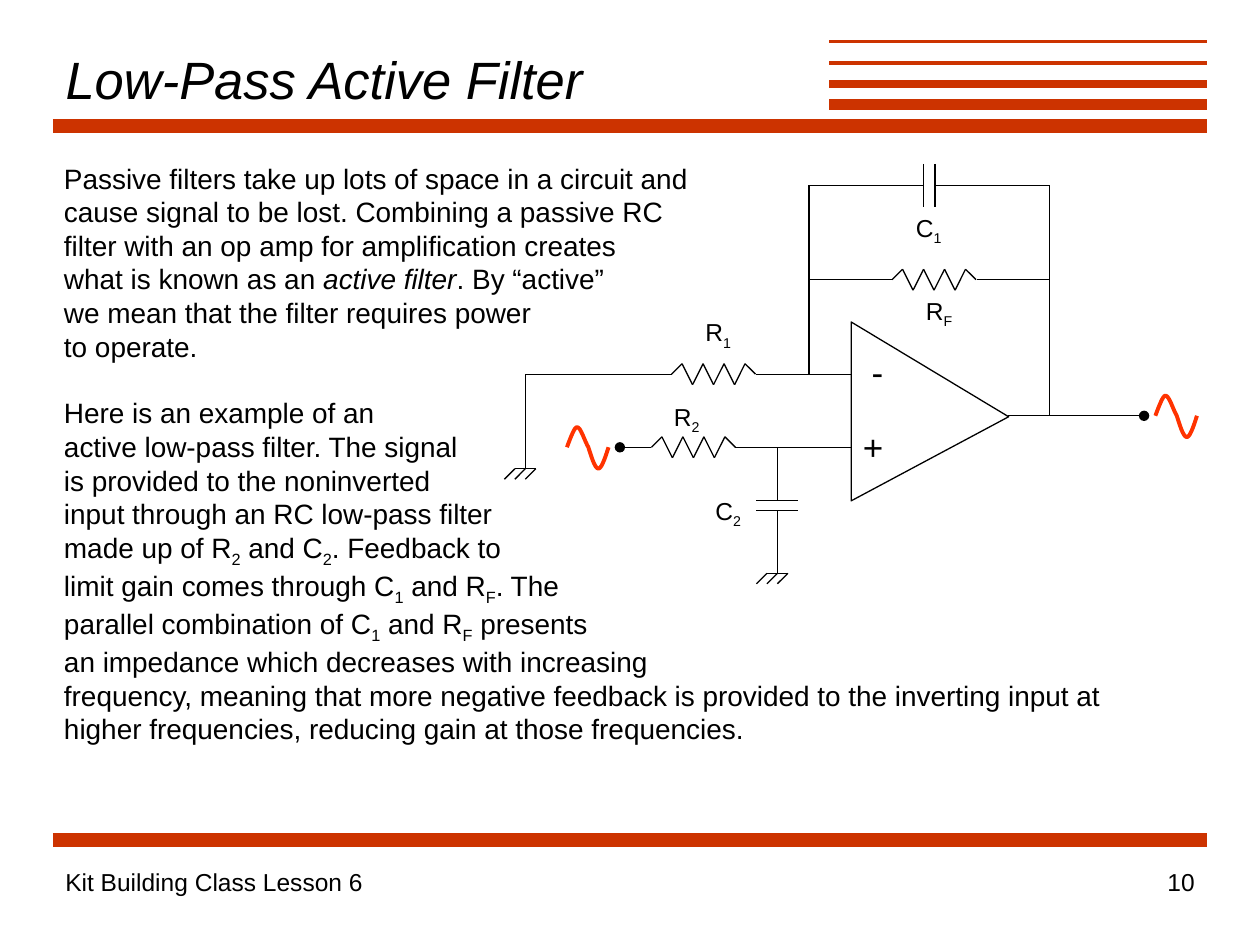
"""Build the slide on the low-pass active filter with its circuit diagram."""
from lxml.etree import SubElement
from pptx import Presentation
from pptx.dml.color import RGBColor
from pptx.enum.shapes import MSO_CONNECTOR, MSO_SHAPE
from pptx.enum.text import MSO_ANCHOR, PP_ALIGN
from pptx.oxml.ns import qn
from pptx.util import Inches, Pt

BLACK = "000000"
BRICK = "CC3300"
SIGNAL_RED = "FF3300"
FONT = "Arial"


def draw_line(shapes, points, color=BLACK, width=0.75):
    """Draw one straight line between two points given in inches."""
    line = shapes.add_connector(MSO_CONNECTOR.STRAIGHT, *[Inches(value) for value in points])
    line.line.color.rgb = RGBColor.from_string(color)
    line.line.width = Pt(width)
    SubElement(line._element.spPr, qn("a:effectLst"))
    return line


def add_text(place, lines, size, wrap=False, align=PP_ALIGN.LEFT):
    """Add a text box; "|" parts spans, "_" opens a subscript, "/" an italic."""
    box = page.shapes.add_textbox(*[Inches(value) for value in place])
    frame = box.text_frame
    frame.word_wrap = wrap
    for index, line in enumerate(lines):
        para = frame.add_paragraph() if index else frame.paragraphs[0]
        para.alignment = align
        for part in line.split("|"):
            span = para.add_run()
            span.text = part.lstrip("_/")
            span.font.name = FONT
            span.font.size = Pt(size)
            span.font.color.rgb = RGBColor.from_string(BLACK)
            if part.startswith("_"):
                span.font._element.set("baseline", "-25000")
            if part.startswith("/"):
                span.font.italic = True
    return frame


deck = Presentation()
deck.slide_width = Inches(10)
deck.slide_height = Inches(7.5)
page = deck.slides.add_slide(deck.slide_layouts[5])

stripes = [
    (6.58, 0.33, 1.5), (6.58, 0.5, 2.25), (6.58, 0.67, 4.5),
    (6.58, 0.83, 6), (0.42, 1, 8), (0.42, 6.67, 8),
]
for left, top, width in stripes:
    draw_line(page.shapes, (left, top, 9.58, top), BRICK, width)

title = page.shapes.title
title.left, title.top = Inches(0.42), Inches(0.33)
title.width, title.height = Inches(6.17), Inches(0.58)
title.text_frame.vertical_anchor = MSO_ANCHOR.MIDDLE
para = title.text_frame.paragraphs[0]
para.alignment = PP_ALIGN.LEFT
span = para.add_run()
span.text = "Low-Pass Active Filter"
span.font.name = FONT
span.font.size = Pt(30)
span.font.italic = True
span.font.color.rgb = RGBColor.from_string(BLACK)

amplifier = page.shapes.add_shape(
    MSO_SHAPE.ISOSCELES_TRIANGLE, Inches(6.67), Inches(2.64), Inches(1.42), Inches(1.25))
amplifier.rotation = 90
amplifier.adjustments[0] = 0.53
amplifier.shadow.inherit = False
amplifier.fill.background()
amplifier.line.color.rgb = RGBColor.from_string(BLACK)
amplifier.line.width = Pt(0.75)

wires = [
    (5.33, 2.97, 4.17, 2.97), (4.17, 2.97, 4.17, 3.72), (6, 2.97, 6.75, 2.97),
    (5.83, 3.55, 6.75, 3.55), (6.17, 3.55, 6.17, 3.97), (6.17, 4.05, 6.17, 4.55),
    (6.42, 1.47, 6.42, 2.97), (8.33, 3.3, 8.33, 1.47),
    (7.08, 2.22, 6.42, 2.22), (8.33, 2.22, 7.75, 2.22),
    (6.42, 1.47, 7.33, 1.47), (7.42, 1.47, 8.33, 1.47),
]
capacitor_plates = [
    (7.33, 1.3, 7.33, 1.64), (7.42, 1.3, 7.42, 1.64),
    (6, 3.97, 6.33, 3.97), (6, 4.05, 6.33, 4.05),
]
for points in wires + capacitor_plates:
    draw_line(page.shapes, points)

for points in [(5.17, 3.55, 4.92, 3.55), (8, 3.3, 9.08, 3.3)]:
    lead = draw_line(page.shapes, points)
    SubElement(lead.line._get_or_add_ln(), qn("a:tailEnd"), type="oval")

step = 1 / 12
zigzag = [0, -step, step, -step, step, -step, step, -step, 0]
for left, middle in [(5.33, 2.97), (7.08, 2.22), (5.17, 3.55)]:
    resistor = page.shapes.add_group_shape()
    for index in range(8):
        start = left + index * step
        draw_line(resistor.shapes, (start, middle + zigzag[index],
                                    start + step, middle + zigzag[index + 1]))

for center, top in [(4.17, 3.72), (6.17, 4.55)]:
    draw_line(page.shapes, (center + step, top, center - step, top))
    for index in range(3):
        start = center + (index - 1) * step
        draw_line(page.shapes, (start, top, start - step, top + step))

wave = [
    [(0, 0), (0.03, -0.08), (0.06, -0.16), (0.08, -0.16)],
    [(0.08, -0.16), (0.11, -0.16), (0.14, -0.05), (0.17, 0)],
    [(0.17, 0), (0.19, 0.06), (0.22, 0.17), (0.25, 0.17)],
    [(0.25, 0.17), (0.28, 0.17), (0.32, 0.03), (0.33, 0)],
]
for left, middle in [(4.5, 3.55), (9.17, 3.3)]:
    curve = []
    for bend in wave:
        for t in [0.125 * index for index in range(1, 9)]:
            weights = [(1 - t) ** 3, 3 * t * (1 - t) ** 2, 3 * t ** 2 * (1 - t), t ** 3]
            x = sum(weight * point[0] for weight, point in zip(weights, bend))
            y = sum(weight * point[1] for weight, point in zip(weights, bend))
            curve.append((Inches(left + x), Inches(middle + y)))
    builder = page.shapes.build_freeform(Inches(left), Inches(middle))
    builder.add_line_segments(curve, close=False)
    signal = builder.convert_to_shape()
    signal.shadow.inherit = False
    signal.fill.background()
    signal.line.color.rgb = RGBColor.from_string(SIGNAL_RED)
    signal.line.width = Pt(2.25)

labels = [
    (5.5, 2.47, "R|_1"), (7.25, 2.3, "R|_F"), (5.25, 3.14, "R|_2"),
    (7.17, 1.64, "C|_1"), (5.58, 3.89, "C|_2"),
]
for left, top, label in labels:
    add_text((left, top, 0.41, 0.37), [label], 14)
add_text((6.75, 3.33, 0.36, 0.44), ["+"], 20)
add_text((6.82, 2.73, 0.29, 0.44), ["-"], 20)

introduction = [
    "Passive filters take up lots of space in a circuit and",
    "cause signal to be lost. Combining a passive RC",
    "filter with an op amp for amplification creates",
    "what is known as an |/active filter|. By “active”",
    "we mean that the filter requires power",
    "to operate.",
]
example = [
    "Here is an example of an",
    "active low-pass filter. The signal",
    "is provided to the noninverted",
    "input through an RC low-pass filter",
    "made up of R|_2| and C|_2|. Feedback to",
    "limit gain comes through C|_1| and R|_F|. The",
    "parallel combination of C|_1| and R|_F| presents",
    "an impedance which decreases with increasing",
    "frequency, meaning that more negative feedback is provided to the inverting input at",
    "higher frequencies, reducing gain at those frequencies.",
]
explanation = add_text((0.41, 1.23, 8.44, 4.74), introduction + example, 16)
explanation.paragraphs[len(introduction)].space_before = Pt(19)

add_text((0.42, 6.83, 6.92, 0.5), ["Kit Building Class Lesson 6"], 14, wrap=True)
add_text((7.5, 6.83, 2.08, 0.5), ["10"], 14, wrap=True, align=PP_ALIGN.RIGHT)

deck.save("out.pptx")
